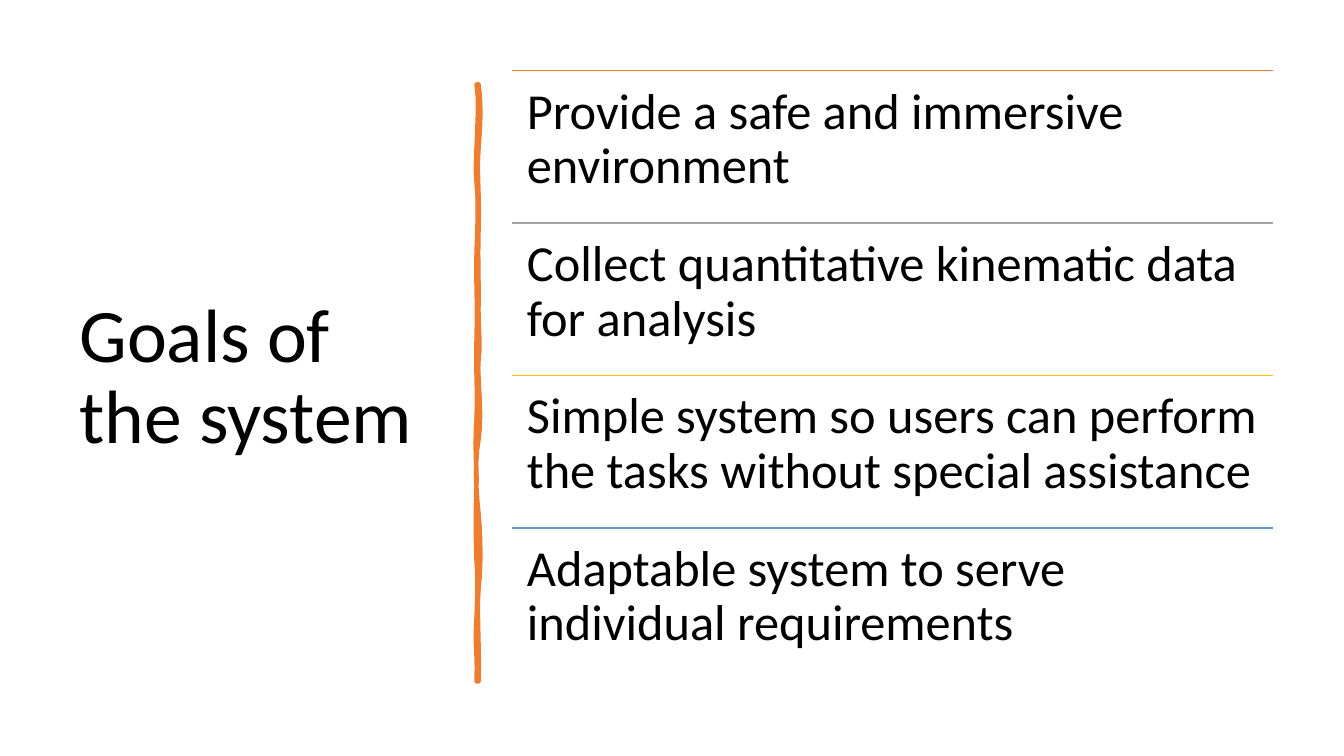
from typing import NamedTuple

from lxml import etree
from pptx import Presentation
from pptx import util as u
from pptx.dml.color import RGBColor
from pptx.enum import shapes, text
from pptx.oxml.ns import qn

BLACK = RGBColor(0x00, 0x00, 0x00)
ORANGE = RGBColor(0xED, 0x7D, 0x31)
GRAY = RGBColor(0xA5, 0xA5, 0xA5)
GOLD = RGBColor(0xFF, 0xC0, 0x00)
BLUE = RGBColor(0x5B, 0x9B, 0xD5)

FONT = "Calibri"
LIST_LEFT, LIST_TOP = 12.9, 1.78
LIST_WIDTH, ROW_HEIGHT = 19.18, 3.84
ROW_INSET = 0.38
BRUSH_TOP, BRUSH_BOTTOM = 2.13, 17.17
BRUSH_RIGHT, BRUSH_LEFT = 12.06, 12.01
CURVE_STEPS = 6


class Goal(NamedTuple):
    wording: str
    color: RGBColor


class Bow(NamedTuple):
    x1: float
    y1: float
    x2: float
    y2: float
    end_y: float


GOALS = [
    Goal("Provide a safe and immersive environment", ORANGE),
    Goal("Collect quantitative kinematic data for analysis", GRAY),
    Goal("Simple system so users can perform the tasks without special assistance", GOLD),
    Goal("Adaptable system to serve individual requirements", BLUE),
]

RIGHT_BOWS = [
    Bow(12.12, 2.59, 12.12, 3.02, 3.71),
    Bow(12.01, 4.39, 12.09, 4.95, 5.74),
    Bow(12.04, 6.53, 12.06, 6.65, 7.47),
    Bow(12.04, 8.26, 12.12, 8.69, 9.04),
    Bow(12.01, 9.4, 12.17, 10.52, 11.07),
    Bow(11.96, 11.61, 11.99, 12.29, 12.95),
    Bow(12.12, 13.61, 12.12, 14.33, 14.83),
    Bow(12.01, 15.32, 12.09, 16.51, BRUSH_BOTTOM),
]

LEFT_BOWS = [
    Bow(12.04, 16.41, 11.96, 16.36, 15.57),
    Bow(12.04, 14.81, 12.04, 14.48, 14.15),
    Bow(11.99, 13.82, 11.99, 12.57, 12.12),
    Bow(12.01, 11.66, 11.96, 11.3, 10.54),
    Bow(12.04, 9.8, 11.99, 9.47, 8.51),
    Bow(12.04, 7.57, 11.99, 7.14, 6.35),
    Bow(12.04, 5.54, 12.06, 5.08, 4.6),
    Bow(11.94, 4.14, 12.12, 2.64, BRUSH_TOP),
]


def edge_points(x: float, start_y: float, bows: list[Bow]) -> list[tuple[int, int]]:
    points = [(u.Cm(x), u.Cm(start_y))]
    y = start_y
    for bow in bows:
        for step in range(1, CURVE_STEPS + 1):
            t = step / CURVE_STEPS
            a, b, c, d = (1 - t) ** 3, 3 * t * (1 - t) ** 2, 3 * t * t * (1 - t), t ** 3
            points.append((
                u.Cm((a + d) * x + b * bow.x1 + c * bow.x2),
                u.Cm(a * y + b * bow.y1 + c * bow.y2 + d * bow.end_y),
            ))
        y = bow.end_y
    return points


def write(tf, wording: str, size: int) -> None:
    tf.word_wrap = True
    tf.auto_size = text.MSO_AUTO_SIZE.NONE
    p = tf.paragraphs[0]
    p.alignment = text.PP_ALIGN.LEFT
    p.line_spacing = 0.9
    r = p.add_run()
    r.text = wording
    r.font.name = FONT
    r.font.size = u.Pt(size)
    r.font.color.rgb = BLACK


def place_title(s) -> None:
    sp = s.shapes.title
    sp.left, sp.top, sp.width, sp.height = u.Cm(1.75), u.Cm(1.78), u.Cm(9.5), u.Cm(15.52)
    sp.text_frame.vertical_anchor = text.MSO_ANCHOR.MIDDLE
    write(sp.text_frame, "Goals of the system", 54)


def draw_brush(s) -> None:
    points = edge_points(BRUSH_RIGHT, BRUSH_TOP, RIGHT_BOWS)
    points += edge_points(BRUSH_LEFT, BRUSH_BOTTOM, LEFT_BOWS)
    builder = s.shapes.build_freeform(*points[0])
    builder.add_line_segments(points[1:], close=True)
    sp = builder.convert_to_shape()
    sp.shadow.inherit = False
    sp.fill.solid()
    sp.fill.fore_color.rgb = ORANGE
    sp.line.color.rgb = ORANGE
    sp.line.width = u.Pt(3.25)


def draw_goal(s, goal: Goal, top: float) -> None:
    rule = s.shapes.add_connector(
        shapes.MSO_CONNECTOR.STRAIGHT,
        u.Cm(LIST_LEFT), u.Cm(top), u.Cm(LIST_LEFT + LIST_WIDTH), u.Cm(top),
    )
    rule.line.color.rgb = goal.color
    rule.line.width = u.Pt(1)
    etree.SubElement(rule._element.spPr, qn("a:effectLst"))
    box = s.shapes.add_textbox(u.Cm(LIST_LEFT), u.Cm(top), u.Cm(LIST_WIDTH), u.Cm(ROW_HEIGHT))
    tf = box.text_frame
    tf.margin_left = tf.margin_right = tf.margin_top = tf.margin_bottom = u.Cm(ROW_INSET)
    write(tf, goal.wording, 36)


def main() -> None:
    prs = Presentation()
    prs.slide_width, prs.slide_height = u.Cm(33.87), u.Cm(19.05)
    s = prs.slides.add_slide(prs.slide_layouts.get_by_name("Title Only"))
    place_title(s)
    draw_brush(s)
    for row, goal in enumerate(GOALS):
        draw_goal(s, goal, LIST_TOP + row * ROW_HEIGHT)
    prs.save("out.pptx")


if __name__ == "__main__":
    main()
